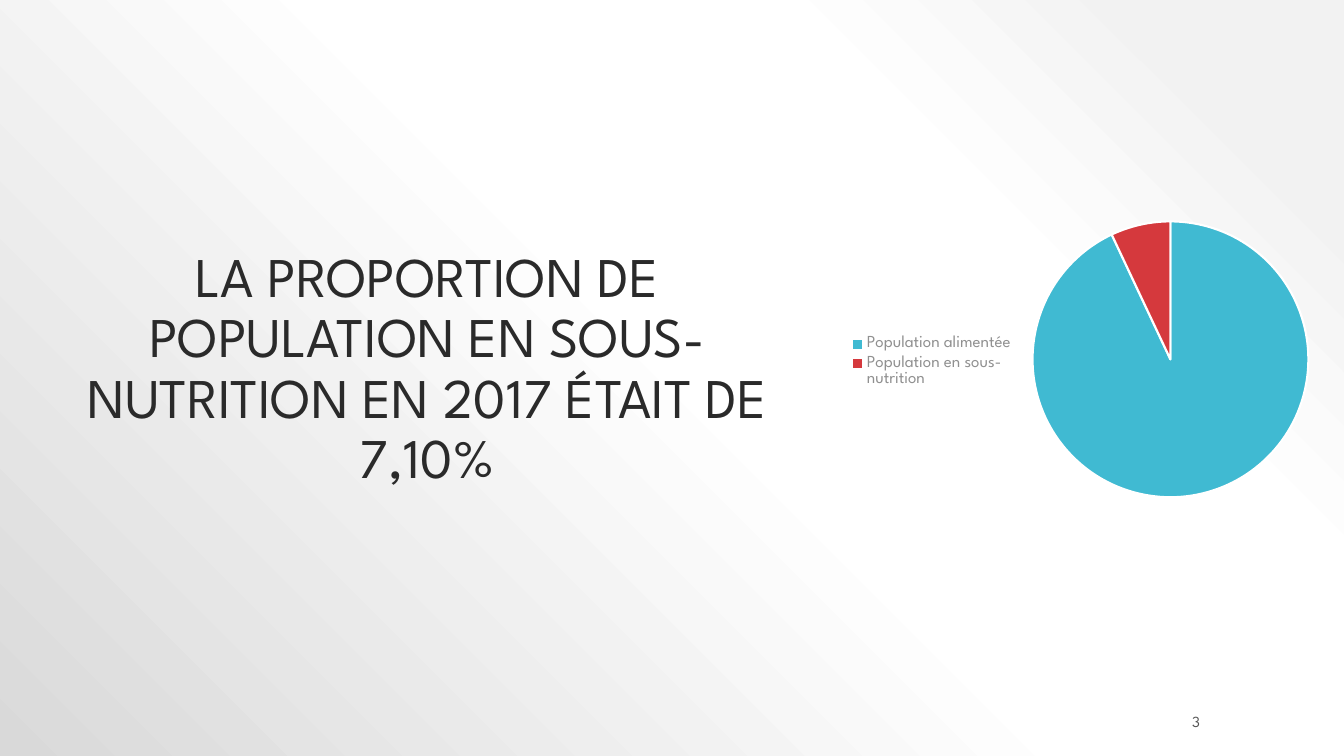
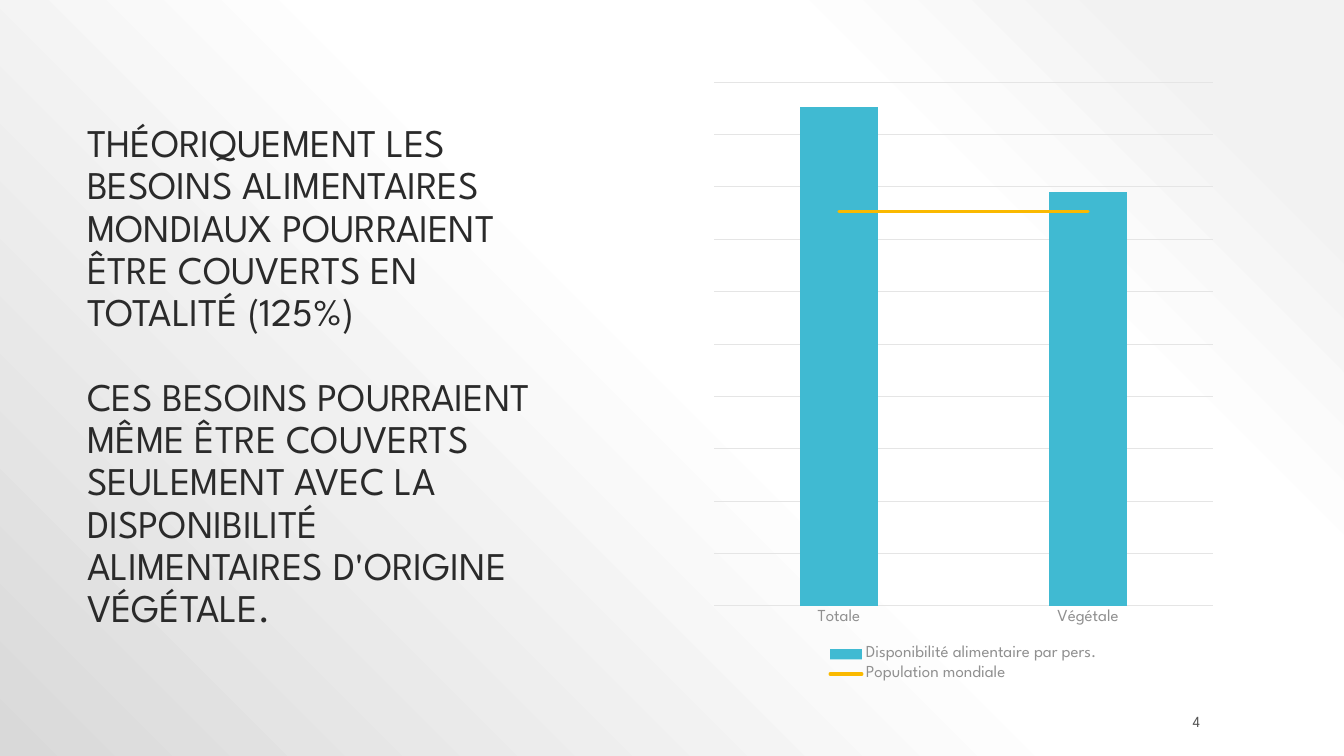
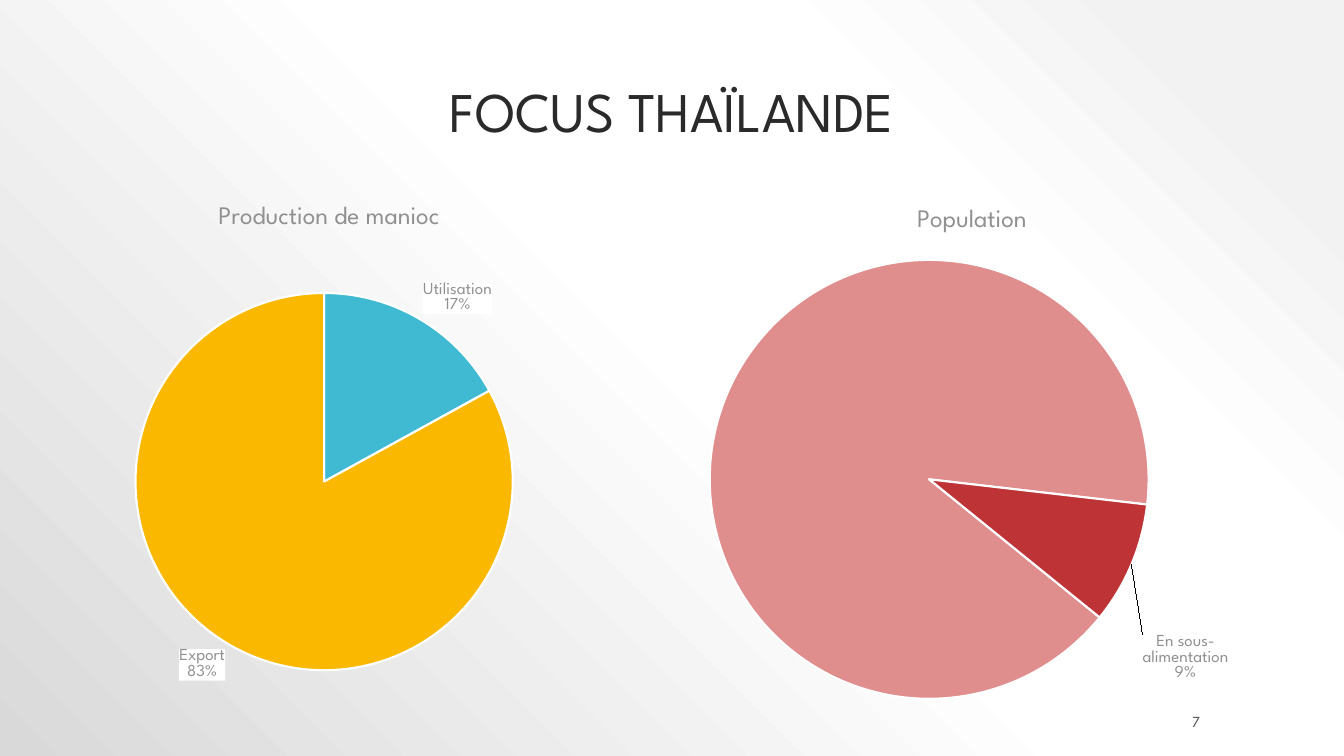
from copy import deepcopy

from pptx import Presentation
from pptx.chart.data import CategoryChartData
from pptx.dml.color import RGBColor
from pptx.enum.chart import (
    XL_CHART_TYPE, XL_LABEL_POSITION, XL_LEGEND_POSITION, XL_MARKER_STYLE, XL_TICK_MARK)
from pptx.enum.text import MSO_ANCHOR, MSO_AUTO_SIZE, PP_ALIGN
from pptx.oxml import parse_xml
from pptx.oxml.ns import nsdecls, qn
from pptx.util import Pt

PIE = XL_CHART_TYPE.PIE
COLUMNS = XL_CHART_TYPE.COLUMN_CLUSTERED
OUTSIDE_END = XL_LABEL_POSITION.OUTSIDE_END
LEGEND_LEFT = XL_LEGEND_POSITION.LEFT
LEGEND_BOTTOM = XL_LEGEND_POSITION.BOTTOM
NO_MARKER = XL_MARKER_STYLE.NONE
NO_TICK = XL_TICK_MARK.NONE
MIDDLE = MSO_ANCHOR.MIDDLE
NO_AUTOFIT = MSO_AUTO_SIZE.NONE
LEFT, CENTER, RIGHT = PP_ALIGN.LEFT, PP_ALIGN.CENTER, PP_ALIGN.RIGHT

EMU_PER_PX = 914400 / 100.8
FONT = "League Spartan"
TITLE_ONLY = 5
COLORS = {
    "title": "2A2A2A",
    "number": "545454",
    "label": "909090",
    "grid": "E5E5E5",
    "white": "FFFFFF",
    "blue": "40BAD2",
    "red": "D5393D",
    "yellow": "FAB900",
    "pink": "E08D8E",
    "dark red": "BD3336",
}
BACKGROUND_STOPS = [(10, "F2F2F2"), (28, "FFFFFF"), (48, "FFFFFF"), (100, "D9D9D9")]


def px(*lengths):
    return [round(length * EMU_PER_PX) for length in lengths]


def rgb(name):
    return RGBColor.from_string(COLORS[name])


def style_font(font, size, color):
    font.name = FONT
    font.size = Pt(size)
    font.color.rgb = rgb(color)


def set_background(master):
    master.background.fill.solid()
    stops = "".join(
        f'<a:gs pos="{position * 1000}"><a:srgbClr val="{color}"/></a:gs>'
        for position, color in BACKGROUND_STOPS)
    gradient = parse_xml(
        f'<a:gradFill {nsdecls("a")} rotWithShape="1"><a:gsLst>{stops}</a:gsLst>'
        '<a:path path="circle"><a:fillToRect l="100000" b="100000"/></a:path>'
        '<a:tileRect t="-100000" r="-100000"/></a:gradFill>')
    properties = master.element.find(".//" + qn("p:bgPr"))
    properties.replace(properties[0], gradient)


def add_number(page, number):
    box = page.shapes.add_textbox(*px(1084, 711, 126, 20))
    frame = box.text_frame
    frame.word_wrap = True
    frame.vertical_anchor = MIDDLE
    frame.text = number
    para = frame.paragraphs[0]
    para.alignment = RIGHT
    style_font(para.runs[0].font, 11, "number")


def add_page(deck, number, title, place, size=40, alignment=CENTER):
    page = deck.slides.add_slide(deck.slide_layouts[TITLE_ONLY])
    heading = page.shapes.title
    heading.left, heading.top, heading.width, heading.height = px(*place)
    frame = heading.text_frame
    frame.text = title
    frame.auto_size = NO_AUTOFIT
    frame.word_wrap = True
    frame.vertical_anchor = MIDDLE
    for index, para in enumerate(frame.paragraphs):
        para.alignment = alignment
        para.line_spacing = 0.9
        para.space_before = Pt(30 if index else 0)
        style_font(para.runs[0].font, size, "title")
    add_number(page, number)
    return page


def manual_layout(x, y, width=None, height=None):
    parts = {"x": x, "y": y, "w": width, "h": height}
    if width is not None:
        modes = ('<c:layoutTarget val="inner"/>'
                 '<c:xMode val="edge"/><c:yMode val="edge"/>')
    else:
        modes = ""
    values = "".join(
        f'<c:{key} val="{value:.2f}"/>' for key, value in parts.items() if value is not None)
    return parse_xml(
        f'<c:layout {nsdecls("c")}><c:manualLayout>{modes}{values}</c:manualLayout></c:layout>')


def add_chart(page, kind, place, plot_place, categories, series, title=None, legend=None):
    data = CategoryChartData()
    data.categories = categories
    for name, values in series:
        data.add_series(name, values)
    chart = page.shapes.add_chart(kind, *px(*place), data).chart
    style_font(chart.font, 12, "label")

    left, top, width, height = place
    plot_left, plot_top, plot_width, plot_height = plot_place
    area = chart.element.find(".//" + qn("c:plotArea"))
    for layout in area.findall(qn("c:layout")):
        area.remove(layout)
    area.insert(0, manual_layout(
        (plot_left - left) / width, (plot_top - top) / height,
        plot_width / width, plot_height / height))

    chart.has_title = title is not None
    if title:
        frame = chart.chart_title.text_frame
        frame.text = title
        font = frame.paragraphs[0].runs[0].font
        style_font(font, 18, "label")
        font.bold = False
        chart.chart_title.include_in_layout = False
    chart.has_legend = legend is not None
    if legend is not None:
        chart.legend.position = legend
        chart.legend.include_in_layout = False
        style_font(chart.legend.font, 12, "label")
    return chart


def add_pie(page, place, plot_place, slices, **options):
    categories = [name for name, value, color in slices]
    values = [value for name, value, color in slices]
    chart = add_chart(page, PIE, place, plot_place, categories,
                      [("Series 1", values)], **options)
    plot = chart.plots[0]
    plot.vary_by_categories = True
    for index, (name, value, color) in enumerate(slices):
        look = plot.series[0].points[index].format
        look.fill.solid()
        look.fill.fore_color.rgb = rgb(color)
        look.line.color.rgb = rgb("white")
        look.line.width = Pt(1.5)
    return chart


def label_slices(chart):
    labels = chart.plots[0].series[0].data_labels
    labels.show_value = False
    labels.show_category_name = True
    labels.show_percentage = True
    labels.position = OUTSIDE_END
    style_font(labels.font, 12, "label")
    element = chart.element.find(".//" + qn("c:dLbls"))
    element.find(qn("c:txPr")).addprevious(parse_xml(
        f'<c:spPr {nsdecls("c", "a")}><a:solidFill>'
        f'<a:srgbClr val="{COLORS["white"]}"/></a:solidFill></c:spPr>'))
    element.find(qn("c:showBubbleSize")).addnext(
        parse_xml(f'<c:separator {nsdecls("c")}>\n</c:separator>'))
    return element


def hide_label(labels, index):
    labels.insert(index, parse_xml(
        f'<c:dLbl {nsdecls("c")}><c:idx val="{index}"/><c:delete val="1"/></c:dLbl>'))


def shift_label(labels, index, x, y):
    label = parse_xml(f'<c:dLbl {nsdecls("c")}><c:idx val="{index}"/></c:dLbl>')
    label.append(manual_layout(x, y))
    for child in labels:
        if child.tag not in (qn("c:dLbl"), qn("c:showLeaderLines")):
            label.append(deepcopy(child))
    labels.insert(index, label)


def draw_last_series_as_line(chart, color):
    bars = chart.element.find(".//" + qn("c:barChart"))
    series = bars.findall(qn("c:ser"))[-1]
    invert = series.find(qn("c:invertIfNegative"))
    if invert is not None:
        series.remove(invert)
    lines = parse_xml(
        f'<c:lineChart {nsdecls("c")}><c:grouping val="standard"/>'
        '<c:varyColors val="0"/><c:marker val="1"/></c:lineChart>')
    lines.insert(2, series)
    for axis in bars.findall(qn("c:axId")):
        lines.append(deepcopy(axis))
    bars.addnext(lines)
    line_series = chart.plots[1].series[0]
    line_series.smooth = False
    line_series.marker.style = NO_MARKER
    line_series.format.line.color.rgb = rgb(color)
    line_series.format.line.width = Pt(2.25)
    series.find(".//" + qn("a:ln")).set("cap", "rnd")


def style_axes(chart):
    categories = chart.category_axis
    categories.major_tick_mark = NO_TICK
    style_font(categories.tick_labels.font, 12, "label")
    values = chart.value_axis
    values.visible = False
    values.minimum_scale = 0
    values.maximum_scale = 105
    values.major_unit = 10.5
    values.has_major_gridlines = True
    for line in (categories.format.line, values.major_gridlines.format.line):
        line.color.rgb = rgb("grid")
        line.width = Pt(0.75)


def add_undernourished_page(deck):
    page = add_page(
        deck, "3", "LA PROPORTION DE POPULATION EN SOUS-NUTRITION EN 2017 ÉTAIT DE 7,10%",
        (44, 235, 766, 270))
    add_pie(page, (839, 100, 484, 524), (1031, 222, 278, 278),
            [("Population alimentée", 93, "blue"),
             ("Population en sous-nutrition", 7, "red")],
            legend=LEGEND_LEFT)


def add_needs_page(deck):
    page = add_page(
        deck, "4",
        "THÉORIQUEMENT LES BESOINS ALIMENTAIRES MONDIAUX POURRAIENT ÊTRE COUVERTS "
        "EN TOTALITÉ (125%)\n"
        "CES BESOINS POURRAIENT MÊME ÊTRE COUVERTS SEULEMENT AVEC LA DISPONIBILITÉ "
        "ALIMENTAIRES D'ORIGINE VÉGÉTALE.",
        (77, 175, 492, 405), size=28, alignment=LEFT)
    chart = add_chart(
        page, COLUMNS, (704, 70, 519, 616), (713, 82, 500, 521),
        ["Totale", "Végétale"],
        [("Disponibilité alimentaire par pers.", (100, 83)),
         ("Population mondiale", (79, 79))],
        legend=LEGEND_BOTTOM)
    bars = chart.plots[0]
    bars.vary_by_categories = False
    bars.gap_width = 219
    fill = bars.series[0].format.fill
    fill.solid()
    fill.fore_color.rgb = rgb("blue")
    draw_last_series_as_line(chart, "yellow")
    style_axes(chart)


def add_thailand_page(deck):
    page = add_page(deck, "7", "FOCUS THAÏLANDE", (85, 27, 1174, 175))
    cassava = add_pie(
        page, (87, 183, 484, 524), (134, 293, 376, 376),
        [("Utilisation", 17, "blue"), ("Export", 83, "yellow")],
        title="Production de manioc")
    label_slices(cassava)
    population = add_pie(
        page, (687, 186, 570, 524), (712, 257, 438, 438),
        [("Population", 91, "pink"), ("En sous-alimentation", 9, "dark red")],
        title="Population")
    pie = population.element.find(".//" + qn("c:pieChart"))
    angle = pie.find(qn("c:firstSliceAng"))
    if angle is None:
        angle = parse_xml(f'<c:firstSliceAng {nsdecls("c")}/>')
        pie.append(angle)
    angle.set("val", "129")
    labels = label_slices(population)
    hide_label(labels, 0)
    shift_label(labels, 1, 0.01, 0.13)


def main():
    deck = Presentation()
    deck.slide_width, deck.slide_height = px(1344, 756)
    set_background(deck.slide_master)
    add_undernourished_page(deck)
    add_needs_page(deck)
    add_thailand_page(deck)
    deck.save("out.pptx")


if __name__ == "__main__":
    main()
